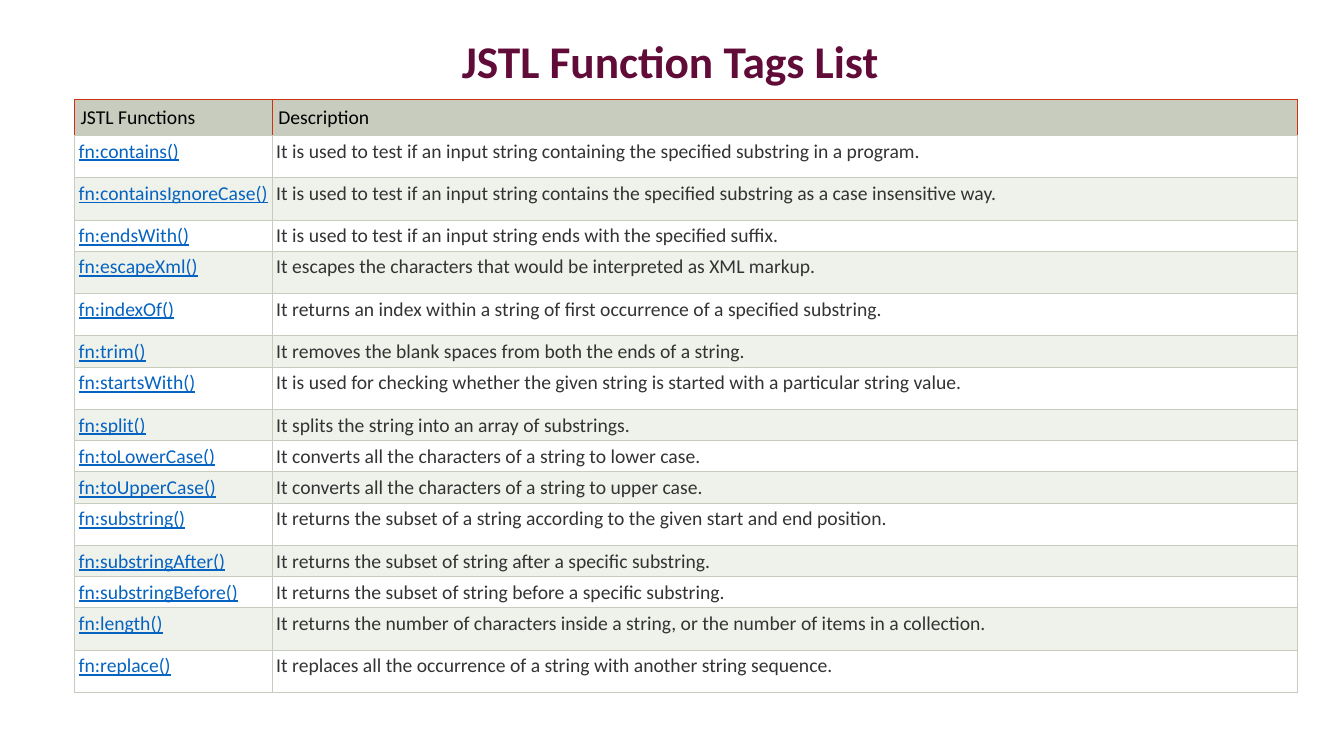
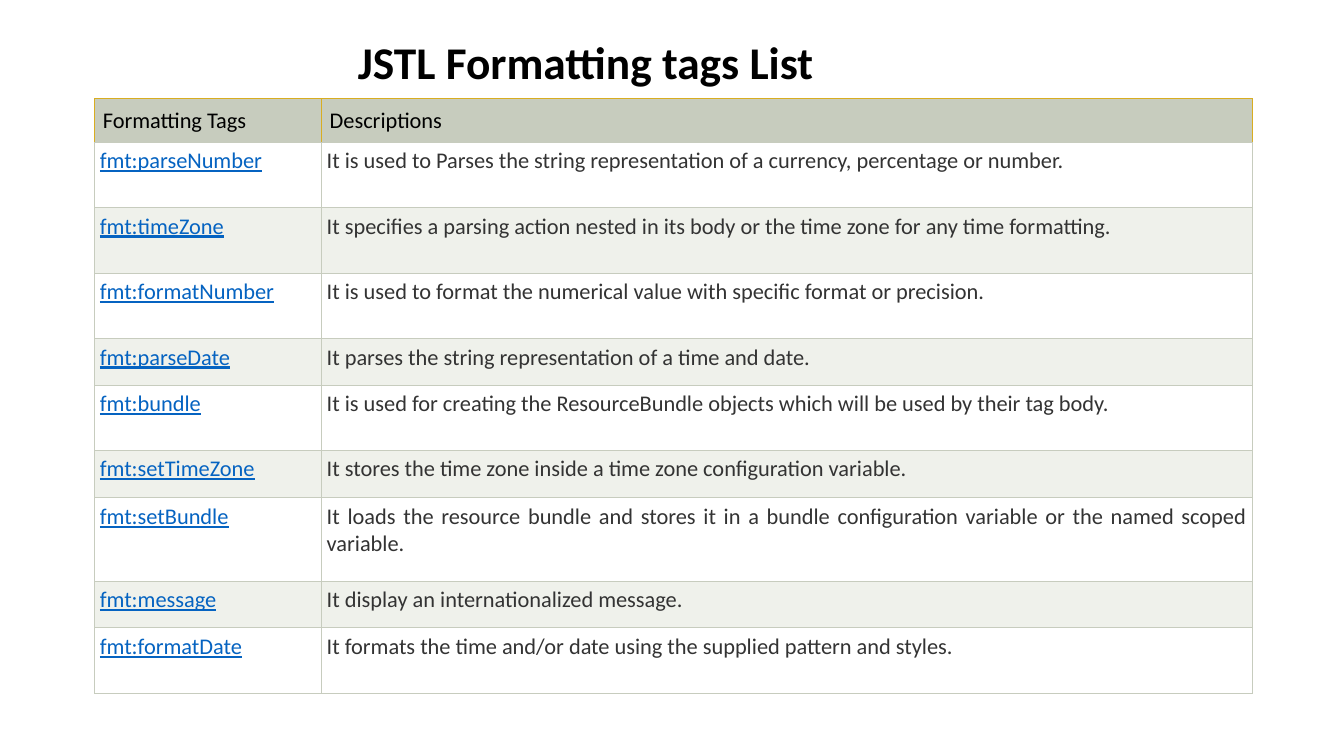
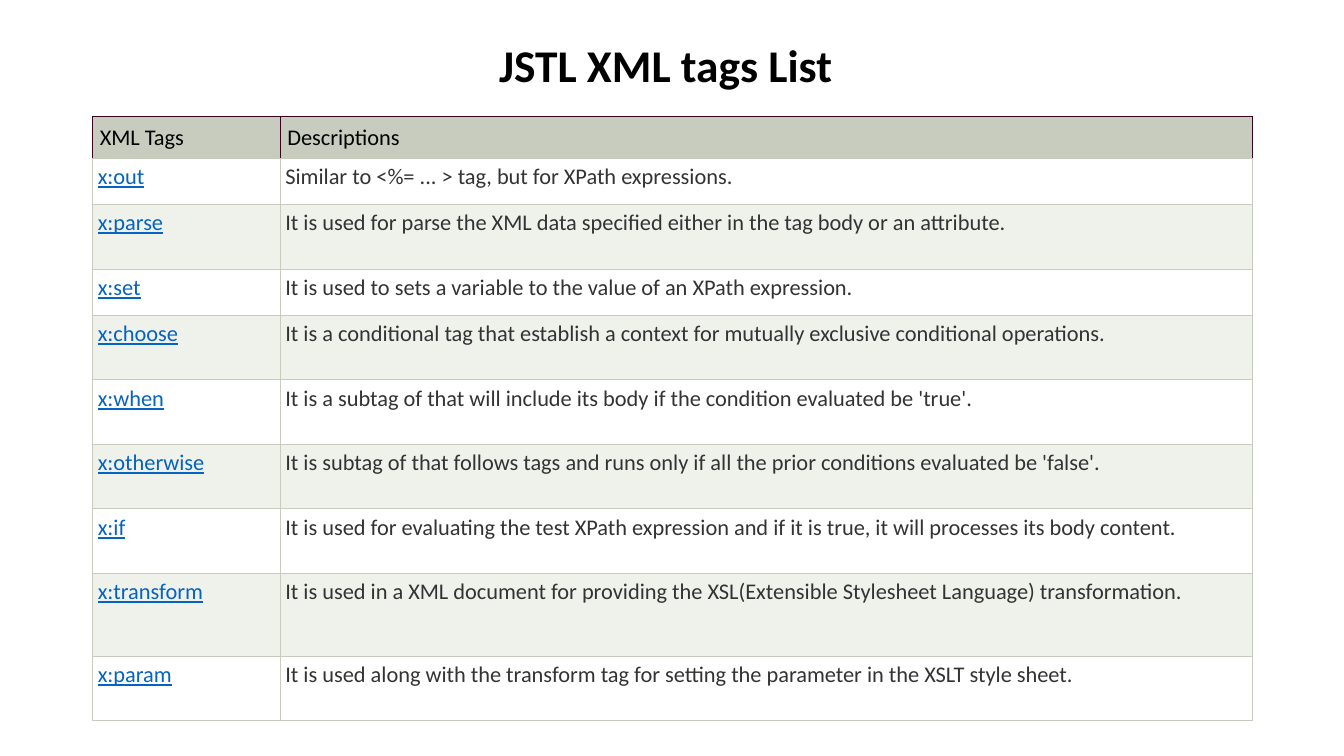
import pptx
import pptx.dml.color
import pptx.enum.text
import pptx.oxml
import pptx.oxml.ns
import pptx.util

Inches = pptx.util.Inches
Align = pptx.enum.text.PP_ALIGN
Anchor = pptx.enum.text.MSO_ANCHOR

FUNCTION_TAGS = [
    ("fn:contains()", "It is used to test if an input string containing the specified substring in a program."),
    ("fn:containsIgnoreCase()",
     "It is used to test if an input string contains the specified substring as a case insensitive way."),
    ("fn:endsWith()", "It is used to test if an input string ends with the specified suffix."),
    ("fn:escapeXml()", "It escapes the characters that would be interpreted as XML markup."),
    ("fn:indexOf()", "It returns an index within a string of first occurrence of a specified substring."),
    ("fn:trim()", "It removes the blank spaces from both the ends of a string."),
    ("fn:startsWith()",
     "It is used for checking whether the given string is started with a particular string value."),
    ("fn:split()", "It splits the string into an array of substrings."),
    ("fn:toLowerCase()", "It converts all the characters of a string to lower case."),
    ("fn:toUpperCase()", "It converts all the characters of a string to upper case."),
    ("fn:substring()", "It returns the subset of a string according to the given start and end position."),
    ("fn:substringAfter()", "It returns the subset of string after a specific substring."),
    ("fn:substringBefore()", "It returns the subset of string before a specific substring."),
    ("fn:length()",
     "It returns the number of characters inside a string, or the number of items in a collection."),
    ("fn:replace()", "It replaces all the occurrence of a string with another string sequence."),
]
FORMATTING_TAGS = [
    ("fmt:parseNumber", "It is used to Parses the string representation of a currency, percentage or number."),
    ("fmt:timeZone",
     "It specifies a parsing action nested in its body or the time zone for any time formatting."),
    ("fmt:formatNumber", "It is used to format the numerical value with specific format or precision."),
    ("fmt:parseDate", "It parses the string representation of a time and date."),
    ("fmt:bundle",
     "It is used for creating the ResourceBundle objects which will be used by their tag body."),
    ("fmt:setTimeZone", "It stores the time zone inside a time zone configuration variable."),
    ("fmt:setBundle",
     "It loads the resource bundle and stores it in a bundle configuration variable or the named scoped variable."),
    ("fmt:message", "It display an internationalized message."),
    ("fmt:formatDate", "It formats the time and/or date using the supplied pattern and styles."),
]
XML_TAGS = [
    ("x:out", "Similar to <%= ... > tag, but for XPath expressions."),
    ("x:parse", "It is used for parse the XML data specified either in the tag body or an attribute."),
    ("x:set", "It is used to sets a variable to the value of an XPath expression."),
    ("x:choose",
     "It is a conditional tag that establish a context for mutually exclusive conditional operations."),
    ("x:when", "It is a subtag of that will include its body if the condition evaluated be 'true'."),
    ("x:otherwise",
     "It is subtag of that follows tags and runs only if all the prior conditions evaluated be 'false'."),
    ("x:if",
     "It is used for evaluating the test XPath expression and if it is true, it will processes its body content."),
    ("x:transform",
     "It is used in a XML document for providing the XSL(Extensible Stylesheet Language) transformation."),
    ("x:param",
     "It is used along with the transform tag for setting the parameter in the XSLT style sheet."),
]


def rgb(color):
    return pptx.dml.color.RGBColor.from_string(color)


def write(frame, text, size, color, bold=False, underline=False, align=Align.LEFT, spacing=1.0):
    paragraph = frame.paragraphs[0]
    paragraph.alignment = align
    paragraph.line_spacing = spacing
    run = paragraph.add_run()
    run.text = text
    font = run.font
    font.name = Deck.FONT
    font.size = pptx.util.Pt(size)
    font.color.rgb = rgb(color)
    font.bold = bold
    font.underline = underline


def set_borders(cell, sides):
    """Draw 0.75 pt cell borders; sides maps L, R, T and B, in that order, to colours."""
    properties = cell._tc.get_or_add_tcPr()
    for side, color in sides.items():
        properties.append(pptx.oxml.parse_xml(
            f'<a:ln{side} {pptx.oxml.ns.nsdecls("a")} w="9525"><a:solidFill>'
            f'<a:srgbClr val="{color}"/></a:solidFill></a:ln{side}>'))


class Deck:
    FONT = "Calibri"
    BLACK = "000000"
    TEXT = "333333"
    LINK = "0563C1"
    HEADER = "C7CCBE"
    BANDS = ("FFFFFF", "EFF1EB")
    TITLE_SIZE = 32.4

    def __init__(self):
        self.presentation = pptx.Presentation()
        self.presentation.slide_width = Inches(13.33)
        self.presentation.slide_height = Inches(7.5)
        self.slide = None

    def add_slide(self):
        self.slide = self.presentation.slides.add_slide(self.presentation.slide_layouts[6])

    def title(self, text, left, width, height, text_left, color=BLACK):
        """Add a title box whose first letter stands at text_left on the slide."""
        box = self.slide.shapes.add_textbox(Inches(left), Inches(0.4), Inches(width), Inches(height))
        frame = box.text_frame
        frame.word_wrap = True
        frame.vertical_anchor = Anchor.MIDDLE
        frame.margin_left = Inches(text_left - left)
        frame.margin_top = frame.margin_bottom = 0
        write(frame, text, self.TITLE_SIZE, color, bold=True, spacing=0.9)

    def cell(self, cell, text, fill, margins, borders, **text_format):
        side, top, bottom = margins
        cell.margin_left = cell.margin_right = Inches(side)
        cell.margin_top, cell.margin_bottom = Inches(top), Inches(bottom)
        set_borders(cell, borders)
        cell.fill.solid()
        cell.fill.fore_color.rgb = rgb(fill)
        write(cell.text_frame, text, **text_format)

    def table(self, headings, tags, left, top, columns, rows, size, accent, header_margin, margins):
        """Add a banded tag table; accent colours the header's outer lines."""
        frame = self.slide.shapes.add_table(
            len(rows), len(columns), Inches(left), Inches(top), Inches(sum(columns)), Inches(sum(rows)))
        table = frame.table
        table.first_row = table.horz_banding = False
        for column, width in zip(table.columns, columns):
            column.width = Inches(width)
        for row, height in zip(table.rows, rows):
            row.height = Inches(height)
        header_borders = dict(L=accent, R=accent, T=accent, B=self.HEADER)
        body_borders = dict.fromkeys("LRTB", self.HEADER)
        for index, heading in enumerate(headings):
            self.cell(table.cell(0, index), heading, self.HEADER, (header_margin,) * 3,
                      header_borders, size=size, color=self.BLACK)
        for number, (tag, description) in enumerate(tags, 1):
            fill = self.BANDS[(number - 1) % 2]
            self.cell(table.cell(number, 0), tag, fill, margins, body_borders,
                      size=size, color=self.LINK, underline=True, align=Align.JUSTIFY)
            self.cell(table.cell(number, 1), description, fill, margins, body_borders,
                      size=size, color=self.TEXT, align=Align.JUSTIFY)


def main():
    deck = Deck()

    deck.add_slide()
    deck.title("JSTL Function Tags List", 0.29, 12.13, 0.47, text_left=4.58, color="610B38")
    short, tall = 0.31, 0.42
    deck.table(("JSTL Functions", "Description"), FUNCTION_TAGS, 0.74, 0.99, (1.96, 10.17),
               [0.35, tall, tall, short, tall, tall, short, tall, short, short, short,
                tall, short, short, tall, tall],
               size=14, accent="D0310D", header_margin=0.06, margins=(0.04, 0.04, 0.03))

    deck.add_slide()
    deck.title("JSTL Formatting tags List", 0.22, 12.19, 0.49, text_left=3.55)
    short, tall = 0.46, 0.65
    deck.table(("Formatting Tags", "Descriptions"), FORMATTING_TAGS, 0.94, 0.98, (2.25, 9.23),
               [0.43, tall, tall, tall, short, tall, 0.47, 0.83, short, tall],
               size=16, accent="D8AD21", header_margin=0.08, margins=(0.05,) * 3)

    deck.add_slide()
    deck.title("JSTL XML tags List", 0.92, 11.5, 0.55, text_left=4.95)
    short, tall = 0.46, 0.64
    deck.table(("XML Tags", "Descriptions"), XML_TAGS, 0.92, 1.16, (1.86, 9.64),
               [0.41, short, tall, short, tall, tall, tall, tall, 0.82, tall],
               size=16, accent="38041D", header_margin=0.07, margins=(0.05,) * 3)

    deck.presentation.save("out.pptx")


if __name__ == "__main__":
    main()
